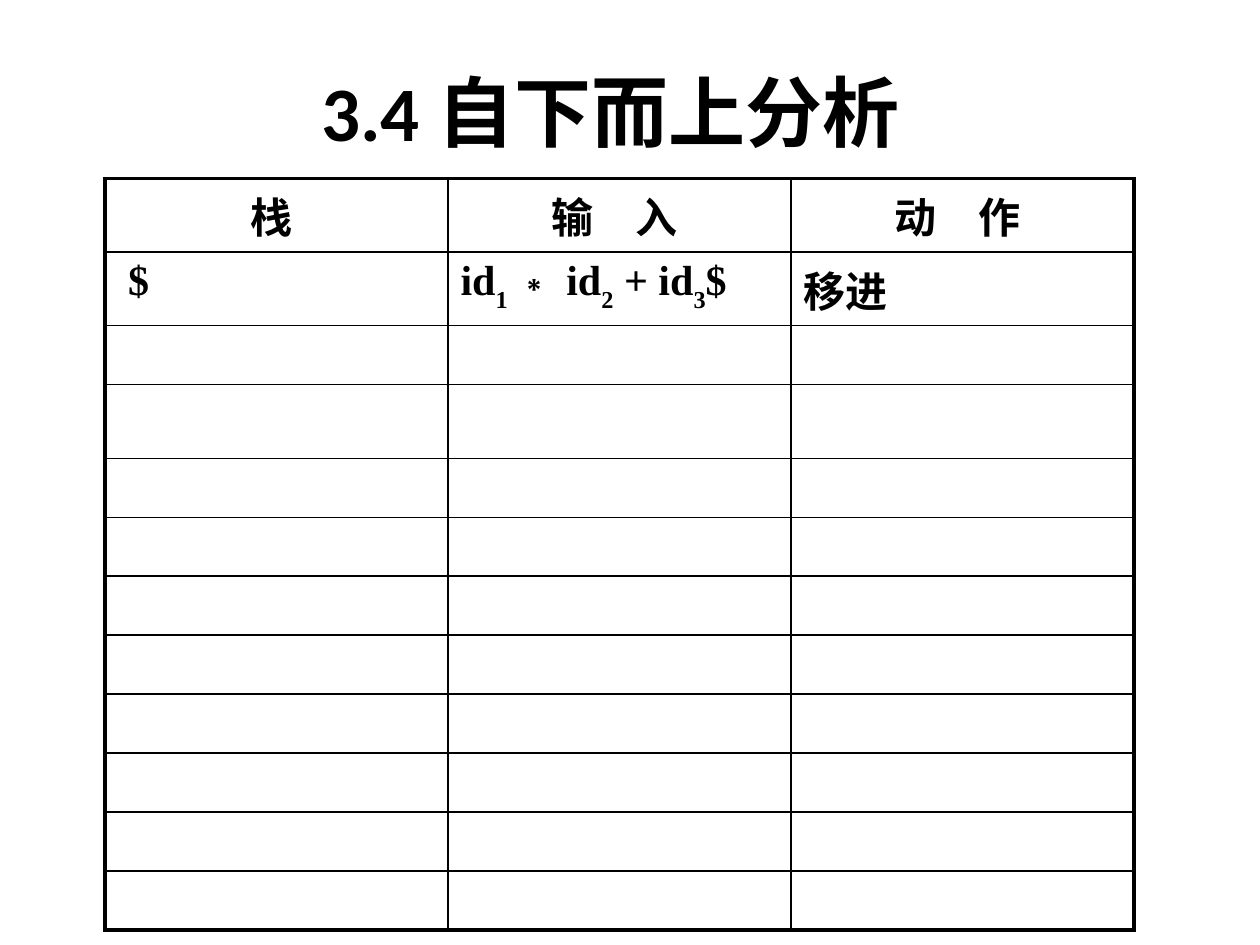
import pptx
import pptx.dml.color
import pptx.enum.text
import pptx.util
import lxml.etree
from pptx.oxml.ns import qn

Pt = pptx.util.Pt
BLACK = pptx.dml.color.RGBColor(0, 0, 0)
WHITE = pptx.dml.color.RGBColor(255, 255, 255)
CJK = "Noto Sans CJK SC"
SERIF = "Times New Roman"
CENTER = pptx.enum.text.PP_ALIGN.CENTER


def add_text(para, text, font=CJK, size=24, baseline=0):
    span = para.add_run()
    span.text = text
    span.font.name = font
    span.font.size = Pt(size)
    span.font.bold = True
    span.font.color.rgb = BLACK
    properties = span.font._element
    lxml.etree.SubElement(properties, qn("a:ea")).set("typeface", font)
    if baseline:
        properties.set("baseline", str(baseline * 1000))


def set_borders(cell, **widths):
    properties = cell._tc.get_or_add_tcPr()
    for position, side in enumerate("LRTB"):
        line = lxml.etree.Element(qn("a:ln" + side), w=str(Pt(widths[side])))
        fill = lxml.etree.SubElement(line, qn("a:solidFill"))
        lxml.etree.SubElement(fill, qn("a:srgbClr")).set("val", str(BLACK))
        properties.insert(position, line)


deck = pptx.Presentation()
deck.slide_width, deck.slide_height = Pt(720), Pt(540)
page = deck.slides.add_slide(deck.slide_layouts[5])
page.background.fill.solid()
page.background.fill.fore_color.rgb = WHITE

# Title
title = page.shapes.title
title.left, title.top, title.width, title.height = Pt(48), Pt(18), Pt(612), Pt(90)
title.text_frame.vertical_anchor = pptx.enum.text.MSO_ANCHOR.MIDDLE
para = title.text_frame.paragraphs[0]
para.alignment = CENTER
add_text(para, "3.4 ", font="Calibri", size=44)
add_text(para, "自下而上分析 ", size=44)

# Parsing table: two filled rows, then blank rows to work through
heights = [41.8, 41.8, 33.7, 42.2] + [33.7] * 8
column_count = 3
frame = page.shapes.add_table(
    len(heights), column_count, Pt(60), Pt(102), Pt(588), Pt(sum(heights)))
table = frame.table
table.first_row = False
table.horz_banding = False
for column in table.columns:
    column.width = Pt(588 / column_count)

# Thick outer frame, thin inner grid
last_row, last_column = len(heights) - 1, column_count - 1
for r, height in enumerate(heights):
    table.rows[r].height = Pt(height)
    for c in range(column_count):
        cell = table.cell(r, c)
        cell.fill.background()
        set_borders(cell,
                    L=2.25 if c == 0 else 1,
                    R=2.25 if c == last_column else 1,
                    T=2.25 if r == 0 else 1,
                    B=2.25 if r == last_row else 1)

# Header row
for c, heading in enumerate(["栈 ", "输　入 ", "动　作 "]):
    para = table.cell(0, c).text_frame.paragraphs[0]
    para.alignment = CENTER
    add_text(para, heading)

# First parsing step
stack, remaining, action = [
    table.cell(1, c).text_frame.paragraphs[0] for c in range(column_count)]
add_text(stack, " $", font=SERIF)
for text, baseline in [("id", 0), ("1 ", -30), ("∗ id", 0), ("2", -30),
                       (" + id", 0), ("3", -30), ("$", 0)]:
    add_text(remaining, text, font=SERIF, baseline=baseline)
add_text(action, "移进")

deck.save("out.pptx")
